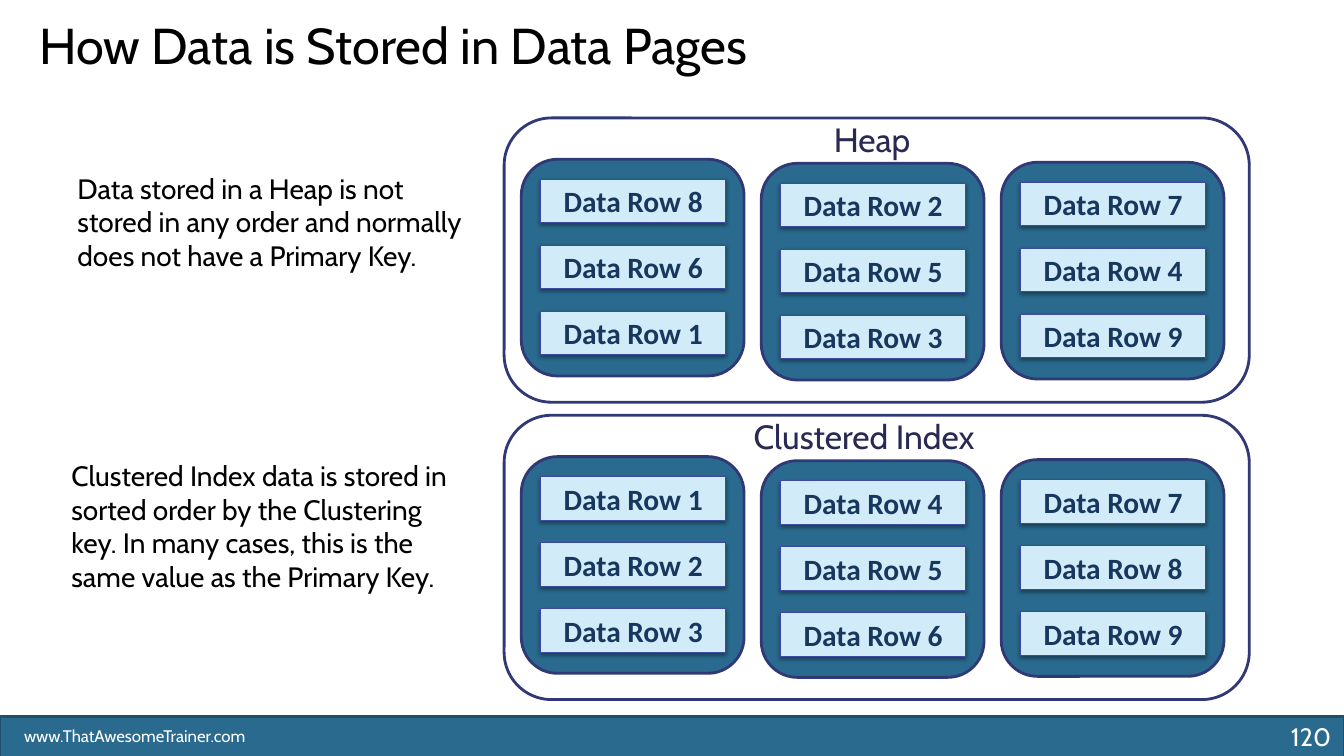
from lxml import etree
from pptx import Presentation
from pptx.dml.color import RGBColor
from pptx.enum.shapes import MSO_SHAPE
from pptx.enum.text import MSO_ANCHOR, PP_ALIGN
from pptx.oxml import parse_xml
from pptx.oxml.ns import nsdecls
from pptx.util import Inches, Pt

RECTANGLE, ROUNDED = MSO_SHAPE.RECTANGLE, MSO_SHAPE.ROUNDED_RECTANGLE
TOP, MIDDLE = MSO_ANCHOR.TOP, MSO_ANCHOR.MIDDLE
LEFT, CENTER, RIGHT = PP_ALIGN.LEFT, PP_ALIGN.CENTER, PP_ALIGN.RIGHT

TEAL, NAVY, WHITE, BLACK = "296A8E", "313876", "FFFFFF", "000000"
PAGE_DROPS = (0.41, 0.45, 0.44)
PAGE_PITCH = 2.38
ROW_PITCH = 1.31 / 2

HEAP_PAGES = ((8, 6, 1), (2, 5, 3), (7, 4, 9))
INDEX_PAGES = ((1, 2, 3), (4, 5, 6), (7, 8, 9))


def color(hex_string):
    return RGBColor.from_string(hex_string)


def write(shape, text, size=20, font="Cabin", fill=BLACK, bold=False,
          align=LEFT, anchor=TOP, inset=(0.1, 0.05), line_spacing=None):
    frame = shape.text_frame
    frame.word_wrap = True
    frame.vertical_anchor = anchor
    frame.margin_left = frame.margin_right = Inches(inset[0])
    frame.margin_top = frame.margin_bottom = Inches(inset[1])
    frame.text = text
    paragraph = frame.paragraphs[0]
    paragraph.alignment = align
    if line_spacing:
        paragraph.line_spacing = Pt(line_spacing)
    run_font = paragraph.runs[0].font
    run_font.name, run_font.size, run_font.bold = font, Pt(size), bold
    run_font.color.rgb = color(fill)


def add_text(slide, box, text, **text_format):
    shape = slide.shapes.add_textbox(*map(Inches, box))
    write(shape, text, **text_format)


def add_box(slide, kind, box, fill, line, line_width=2):
    shape = slide.shapes.add_shape(kind, *map(Inches, box))
    shape.shadow.inherit = False
    shape.fill.solid()
    shape.fill.fore_color.rgb = color(fill)
    shape.line.color.rgb = color(line)
    shape.line.width = Pt(line_width)
    return shape


def add_shadow(shape):
    """Fill the shape's empty effect list with a soft shadow below it."""
    effects = shape.element.spPr.find("{*}effectLst")
    shadow = parse_xml(
        f'<a:outerShdw {nsdecls("a")} blurRad="{Pt(3.1)}" dist="{Pt(1.6)}" '
        'dir="5400000" rotWithShape="0"/>')
    black = etree.SubElement(shadow, shadow.tag.replace("outerShdw", "srgbClr"), val=BLACK)
    etree.SubElement(black, shadow.tag.replace("outerShdw", "alpha"), val="38000")
    effects.append(shadow)


def add_data_page(slide, left, top, row_numbers):
    add_box(slide, ROUNDED, (left, top, 2.21, 2.15), TEAL, NAVY)
    for index, number in enumerate(row_numbers):
        box = (left + 0.19, top + 0.2 + index * ROW_PITCH, 1.84, 0.43)
        row = add_box(slide, RECTANGLE, box, "D1EBF8", "3E499F", 0.75)
        add_shadow(row)
        write(row, f"Data Row {number}", size=21, font="Calibri", fill="17375E",
              bold=True, align=CENTER, anchor=MIDDLE, inset=(0.07, 0.04))


def add_storage_panel(slide, left, top, label, label_offset, pages):
    add_box(slide, ROUNDED, (left, top, 7.39, 2.82), WHITE, NAVY)
    add_text(slide, (left + label_offset, top - 0.04, 2.56, 0.5), label,
             size=24, fill="2A2954", align=CENTER)
    for index, (drop, row_numbers) in enumerate(zip(PAGE_DROPS, pages)):
        add_data_page(slide, left + 0.17 + index * PAGE_PITCH, top + drop, row_numbers)


def add_footer(slide, top):
    add_box(slide, RECTANGLE, (0, top, 13.33, 0.4), TEAL, "1E4E69")
    add_text(slide, (0.14, top + 0.04, 2.55, 0.3), "www.ThatAwesomeTrainer.com",
             size=12, fill=WHITE)
    add_text(slide, (12.52, top, 0.78, 0.4), "120", size=18, fill=WHITE, align=RIGHT)


def add_title(slide, box, text):
    title = slide.shapes.title
    title.left, title.top, title.width, title.height = map(Inches, box)
    write(title, text, size=36, line_spacing=35)


def main():
    presentation = Presentation()
    presentation.slide_width, presentation.slide_height = Inches(13.33), Inches(7.5)
    slide = presentation.slides.add_slide(presentation.slide_layouts[5])

    add_footer(slide, 7.11)
    add_storage_panel(slide, 5, 4.12, "Clustered Index", 2.29, INDEX_PAGES)
    add_text(slide, (0.61, 4.5, 4.06, 1.78),
             "Clustered Index data is stored in sorted order by the Clustering key. "
             "In many cases, this is the same value as the Primary Key.")
    add_storage_panel(slide, 5, 1.17, "Heap", 2.37, HEAP_PAGES)
    add_text(slide, (0.67, 1.65, 4.06, 1.45),
             "Data stored in a Heap is not stored in any order and normally "
             "does not have a Primary Key.")
    add_title(slide, (0.29, 0.2, 12, 1.25), "How Data is Stored in Data Pages")

    presentation.save("out.pptx")


if __name__ == "__main__":
    main()
